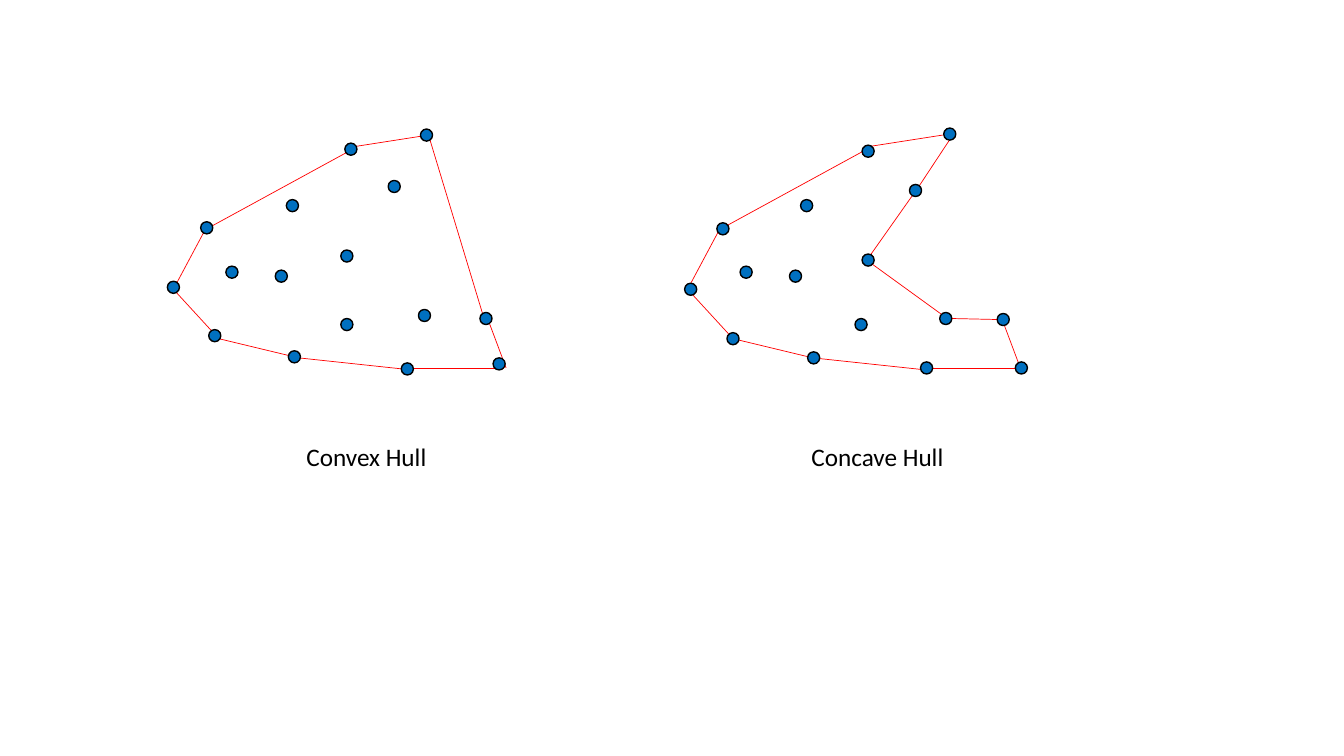
from lxml import etree
from pptx import Presentation
from pptx.dml.color import RGBColor
from pptx.enum.shapes import MSO_CONNECTOR, MSO_SHAPE
from pptx.enum.text import MSO_AUTO_SIZE
from pptx.oxml.ns import qn
from pptx.util import Inches, Pt

STRAIGHT = MSO_CONNECTOR.STRAIGHT
OVAL = MSO_SHAPE.OVAL
FIT_TEXT = MSO_AUTO_SIZE.SHAPE_TO_FIT_TEXT

COLORS = {"edge": "FF0000", "dot": "0070C0", "ink": "000000"}
DOT_SIZE = 0.12
PANEL_TOP = 1.2
CAPTION_TOP = 3.13

# Edges (x1, y1, x2, y2) and dot corners (x, y), in inches from the panel's corner
SHARED_EDGES = [
    (0.12, 1.67, 0.44, 1.07), (0.47, 1.06, 1.88, 0.29),
    (1.88, 0.26, 2.65, 0.14), (3.24, 1.97, 3.42, 2.45),
    (0.12, 1.67, 0.57, 2.16), (0.57, 2.16, 1.36, 2.35),
    (1.36, 2.35, 2.48, 2.47), (2.45, 2.45, 3.4, 2.45),
]
SHARED_DOTS = [(1.24, 0.78), (1.13, 1.48), (1.78, 1.96), (0.64, 1.44)]

CONVEX_EDGES = [(2.65, 0.14, 3.21, 1.99)]
CONVEX_DOTS = [
    (0.39, 1.0), (0.06, 1.59), (0.47, 2.07), (1.26, 2.28),
    (2.38, 2.4), (2.25, 0.59), (3.16, 1.9), (1.78, 1.28),
    (1.82, 0.22), (2.57, 0.08), (2.55, 1.87), (3.29, 2.35),
]
CONCAVE_EDGES = [
    (2.73, 0.17, 2.42, 0.64), (1.87, 1.42, 2.42, 0.64),
    (1.95, 1.42, 2.64, 1.92), (2.74, 1.96, 3.19, 1.97),
]
CONCAVE_DOTS = [
    (0.41, 1.01), (0.09, 1.61), (0.51, 2.1), (1.31, 2.29),
    (2.43, 2.39), (2.32, 0.63), (3.19, 1.91), (1.85, 1.32),
    (1.85, 0.24), (2.66, 0.07), (2.62, 1.9), (3.37, 2.39),
]


def color(name):
    return RGBColor.from_string(COLORS[name])


def add_edge(shapes, x1, y1, x2, y2):
    edge = shapes.add_connector(
        STRAIGHT, Inches(x1), Inches(y1), Inches(x2), Inches(y2))
    edge.line.color.rgb = color("edge")
    edge.line.width = Pt(0.5)
    etree.SubElement(edge._element.spPr, qn("a:effectLst"))


def add_dot(shapes, left, top):
    dot = shapes.add_shape(
        OVAL, Inches(left), Inches(top), Inches(DOT_SIZE), Inches(DOT_SIZE))
    dot.shadow.inherit = False
    dot.fill.solid()
    dot.fill.fore_color.rgb = color("dot")
    dot.line.color.rgb = color("ink")
    dot.line.width = Pt(1)


def add_text(shapes, text, left, top, width, height, size=18, font="Calibri",
             ink="ink"):
    box = shapes.add_textbox(
        Inches(left), Inches(top), Inches(width), Inches(height))
    frame = box.text_frame
    frame.word_wrap = False
    frame.auto_size = FIT_TEXT
    run = frame.paragraphs[0].add_run()
    run.text = text
    run.font.size = Pt(size)
    run.font.name = font
    run.font.color.rgb = color(ink)


def add_hull_panel(slide, left, top, edges, dots, caption, caption_left,
                   caption_width):
    shapes = slide.shapes.add_group_shape().shapes
    # Outline first, so that the dots lie over it
    for x1, y1, x2, y2 in SHARED_EDGES + edges:
        add_edge(shapes, left + x1, top + y1, left + x2, top + y2)
    for x, y in SHARED_DOTS + dots:
        add_dot(shapes, left + x, top + y)
    # Caption
    add_text(shapes, caption, left + caption_left, top + CAPTION_TOP,
             caption_width, 0.4)


def main():
    presentation = Presentation()
    presentation.slide_width = Inches(13.33)
    presentation.slide_height = Inches(7.5)
    slide = presentation.slides.add_slide(presentation.slide_layouts[6])
    add_hull_panel(slide, 1.6, PANEL_TOP, CONVEX_EDGES, CONVEX_DOTS,
                   "Convex Hull", 1.34, 1.41)
    add_hull_panel(slide, 6.7, PANEL_TOP, CONCAVE_EDGES, CONCAVE_DOTS,
                   "Concave Hull", 1.25, 1.53)
    presentation.save("out.pptx")


if __name__ == "__main__":
    main()
